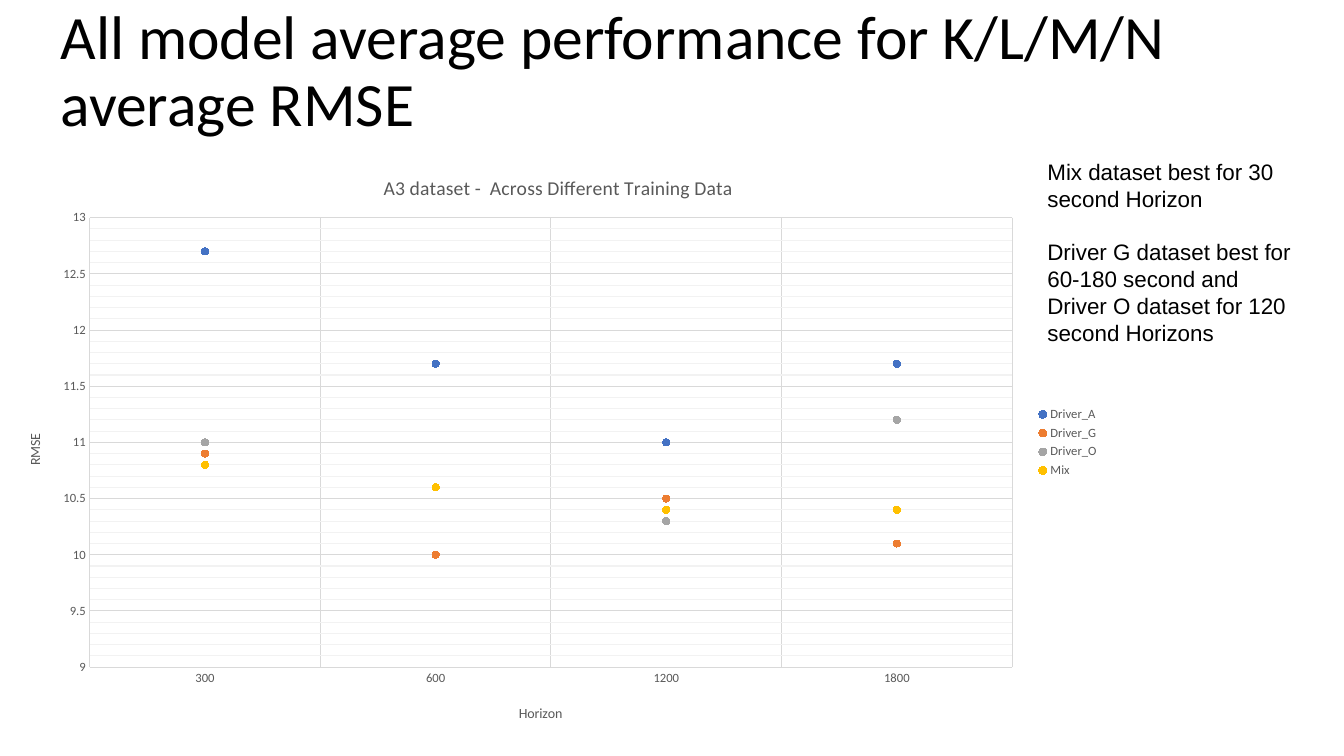
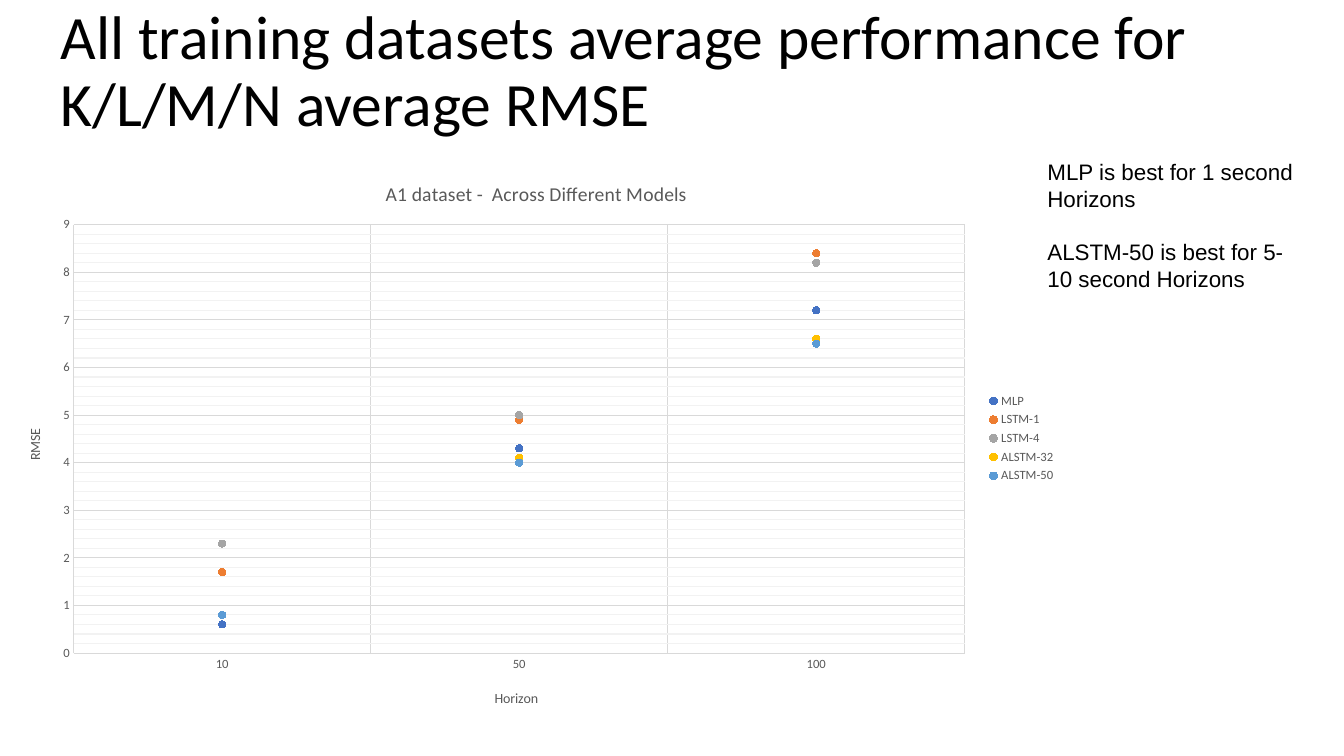
from dataclasses import dataclass

from lxml import etree
from pptx import Presentation
from pptx.chart.data import CategoryChartData
from pptx.dml.color import RGBColor
from pptx.enum.chart import XL_CHART_TYPE as ChartType
from pptx.enum.chart import XL_LEGEND_POSITION as LegendPosition
from pptx.enum.chart import XL_MARKER_STYLE as MarkerStyle
from pptx.enum.chart import XL_TICK_MARK as TickMark
from pptx.enum.text import MSO_ANCHOR as Anchor
from pptx.enum.text import PP_ALIGN as Align
from pptx.oxml.ns import qn
from pptx.util import Inches, Pt


@dataclass(frozen=True)
class Theme:
    heading_font: str = "Calibri"
    note_font: str = "Arial"
    text: str = "000000"
    muted: str = "595959"
    grid: str = "D9D9D9"
    minor_grid: str = "F2F2F2"
    series: tuple = ("4472C4", "ED7D31", "A5A5A5", "FFC000", "5B9BD5")
    title_size: int = 44
    note_size: int = 16
    chart_title_size: int = 14
    axis_title_size: int = 10
    label_size: int = 9
    grid_width: float = 0.75
    marker_size: int = 5


theme = Theme()


def set_font(font, name, size, color):
    values = {"name": name, "size": Pt(size), "bold": False}
    for attribute, value in values.items():
        setattr(font, attribute, value)
    font.color.rgb = RGBColor.from_string(color)


def place(part, fractions):
    """Pin a chart part; fractions of the chart for x, y and optionally w, h."""
    layout = part.find(qn("c:layout"))
    if layout is None:
        layout = etree.Element(qn("c:layout"))
        part.insert(0, layout)
    manual = etree.SubElement(layout, qn("c:manualLayout"))
    settings = {"xMode": "edge", "yMode": "edge"}
    if len(fractions) == 4:
        settings = {"layoutTarget": "inner", **settings}
    settings.update(zip("xywh", fractions))
    for tag, value in settings.items():
        etree.SubElement(manual, qn(f"c:{tag}")).set("val", str(value))


# Content: positions are in inches on the slide
pages = [
    {
        "title": "All model average performance for K/L/M/N average RMSE",
        "notes": ["Mix dataset best for 30 second Horizon",
                  "Driver G dataset best for 60-180 second and "
                  "Driver O dataset for 120 second Horizons"],
        "note_height": 1.99,
        "chart_title": "A3 dataset -  Across Different Training Data",
        "chart_box": (0, 1.45, 11, 5.88),
        "plot_box": (0.89, 2.16, 9.15, 4.46),
        "title_spots": [(3.77, 1.69), (5.12, 6.96), (0.23, 4.28)],
        "scale": {"minimum_scale": 9, "maximum_scale": 13,
                  "major_unit": 0.5, "minor_unit": 0.1},
        "horizons": ["300", "600", "1200", "1800"],
        "series": {"Driver_A": (12.7, 11.7, 11, 11.7),
                   "Driver_G": (10.9, 10, 10.5, 10.1),
                   "Driver_O": (11, 10.6, 10.3, 11.2),
                   "Mix": (10.8, 10.6, 10.4, 10.4)},
    },
    {
        "title": "All training datasets average performance for K/L/M/N average RMSE",
        "notes": ["MLP is best for 1 second Horizons",
                  "ALSTM-50 is best for 5-10 second Horizons"],
        "note_height": 1.45,
        "chart_title": "A1 dataset -  Across Different Models",
        "chart_box": (0, 1.52, 10.57, 5.66),
        "plot_box": (0.73, 2.23, 8.84, 4.25),
        "title_spots": [(3.79, 1.75), (4.88, 6.81), (0.23, 4.23)],
        "scale": {"minimum_scale": 0, "maximum_scale": 9,
                  "major_unit": 1, "minor_unit": 0.2},
        "horizons": ["10", "50", "100"],
        "series": {"MLP": (0.6, 4.3, 7.2),
                   "LSTM-1": (1.7, 4.9, 8.4),
                   "LSTM-4": (2.3, 5, 8.2),
                   "ALSTM-32": (0.8, 4.1, 6.6),
                   "ALSTM-50": (0.8, 4, 6.5)},
    },
]

deck = Presentation()
deck.slide_width, deck.slide_height = Inches(13.33), Inches(7.5)
title_only = deck.slide_layouts[5]

for content in pages:
    page = deck.slides.add_slide(title_only)

    # Slide title
    heading = page.shapes.title
    frame_values = {"left": 0.5, "top": 0, "width": 11.5, "height": 1.45}
    for attribute, value in frame_values.items():
        setattr(heading, attribute, Inches(value))
    heading.text_frame.text = content["title"]
    heading.text_frame.vertical_anchor = Anchor.MIDDLE
    para = heading.text_frame.paragraphs[0]
    para.alignment = Align.LEFT
    para.line_spacing = 0.9
    set_font(para.runs[0].font, theme.heading_font, theme.title_size, theme.text)

    # Findings beside the chart
    box = page.shapes.add_textbox(Inches(10.29), Inches(1.52),
                                  Inches(2.73), Inches(content["note_height"]))
    box.text_frame.word_wrap = True
    for index, note in enumerate(content["notes"]):
        para = box.text_frame.paragraphs[0] if index == 0 else box.text_frame.add_paragraph()
        para.space_before = Pt(19 if index else 0)
        span = para.add_run()
        span.text = note
        set_font(span.font, theme.note_font, theme.note_size, theme.text)

    # Chart with markers only
    data = CategoryChartData()
    data.categories = content["horizons"]
    for name, values in content["series"].items():
        data.add_series(name, values)
    chart_box = content["chart_box"]
    chart = page.shapes.add_chart(ChartType.LINE_MARKERS,
                                  *map(Inches, chart_box), data).chart
    set_font(chart.font, theme.heading_font, theme.label_size, theme.muted)
    chart.plots[0].vary_by_categories = False
    for series, color in zip(chart.plots[0].series, theme.series):
        series.smooth = False
        series.format.line.fill.background()
        series.marker.style = MarkerStyle.CIRCLE
        series.marker.size = theme.marker_size
        for fill in (series.marker.format.fill, series.marker.format.line.fill):
            fill.solid()
            fill.fore_color.rgb = RGBColor.from_string(color)

    # Legend
    chart.has_legend = True
    chart.legend.position = LegendPosition.RIGHT
    chart.legend.include_in_layout = False
    set_font(chart.legend.font, theme.heading_font, theme.label_size, theme.muted)

    # Axes and major gridlines
    horizon_axis, error_axis = chart.category_axis, chart.value_axis
    for attribute, value in content["scale"].items():
        setattr(error_axis, attribute, value)
    error_axis.tick_labels.number_format = "General"
    error_axis.tick_labels.number_format_is_linked = False
    for axis in (horizon_axis, error_axis):
        axis.has_major_gridlines = True
        axis.major_tick_mark = axis.minor_tick_mark = TickMark.NONE
        set_font(axis.tick_labels.font, theme.heading_font, theme.label_size, theme.muted)
    for ruled in (horizon_axis, horizon_axis.major_gridlines, error_axis.major_gridlines):
        ruled.format.line.width = Pt(theme.grid_width)
        ruled.format.line.color.rgb = RGBColor.from_string(theme.grid)
    error_axis.format.line.fill.background()

    # Minor gridlines
    error_axis.has_minor_gridlines = True
    node = chart.element.xpath(".//c:valAx/c:minorGridlines")[0]
    for tag in ("c:spPr", "a:ln", "a:solidFill", "a:srgbClr"):
        node = etree.SubElement(node, qn(tag))
        if tag == "a:ln":
            node.set("w", str(Pt(theme.grid_width)))
    node.set("val", theme.minor_grid)

    # Chart and axis titles
    for title, wording, size in (
            (chart.chart_title, content["chart_title"], theme.chart_title_size),
            (horizon_axis.axis_title, "Horizon", theme.axis_title_size),
            (error_axis.axis_title, "RMSE", theme.axis_title_size)):
        title.text_frame.text = wording
        set_font(title.text_frame.paragraphs[0].runs[0].font,
                 theme.heading_font, size, theme.muted)

    # Positions inside the chart
    parts = chart.element.xpath(".//c:title") + chart.element.xpath(".//c:plotArea")
    left, top, width, height = chart_box
    offsets = (left, top, 0, 0)
    extents = (width, height, width, height)
    for part, spot in zip(parts, [*content["title_spots"], content["plot_box"]]):
        place(part, [round((value - offset) / extent, 4)
                     for value, offset, extent in zip(spot, offsets, extents)])

deck.save("out.pptx")
